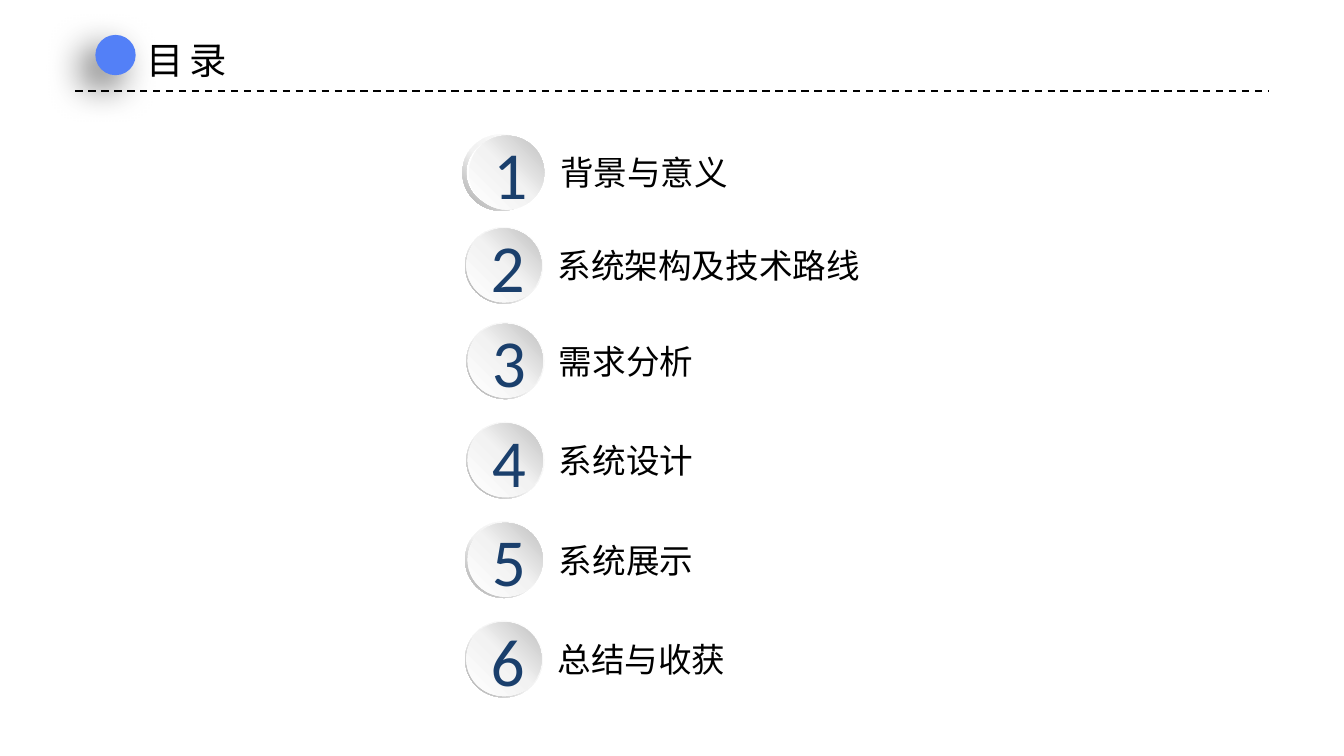
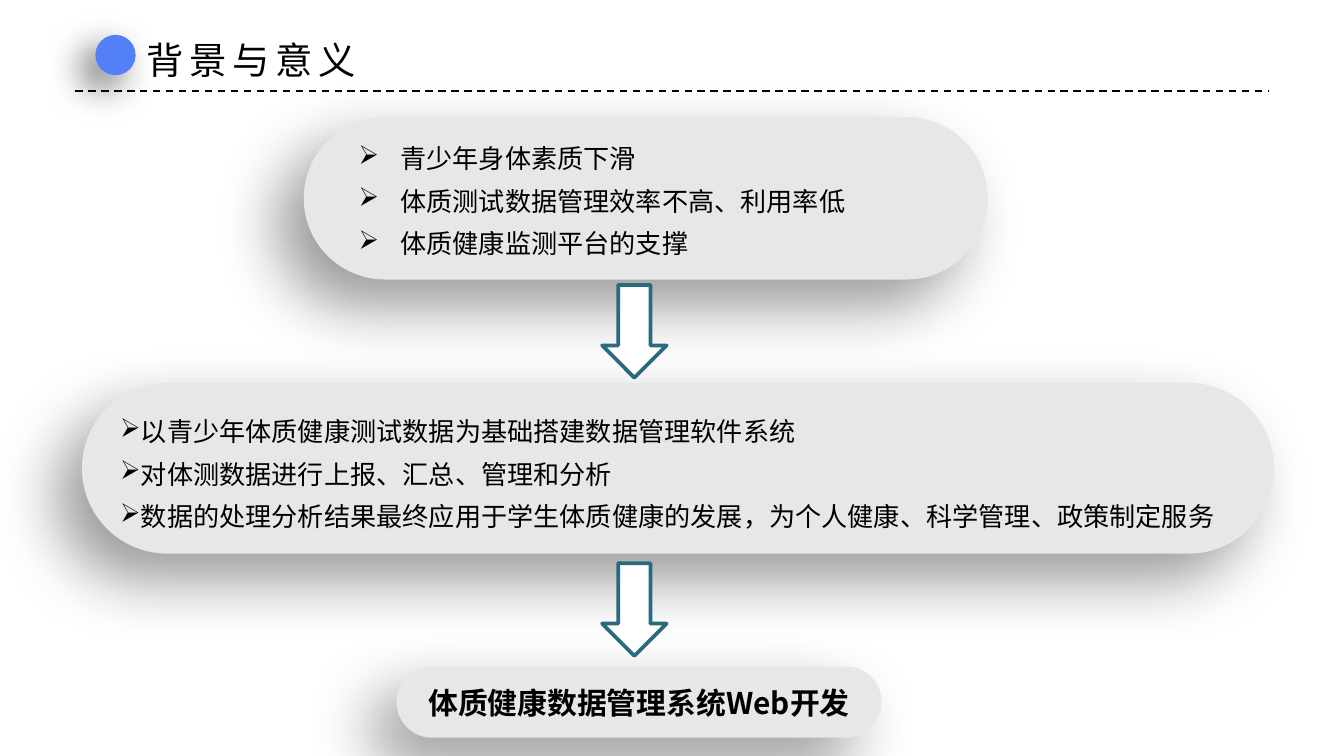
"""Build the contents slide and the background slide of a fitness data talk."""
from dataclasses import dataclass

from lxml.etree import SubElement as Sub
from pptx import Presentation
from pptx.dml.color import RGBColor as RGB
from pptx.enum.dml import MSO_LINE as Dash
from pptx.enum.shapes import MSO_CONNECTOR as Link, MSO_SHAPE as Kind
from pptx.enum.text import MSO_ANCHOR as Anchor, MSO_AUTO_SIZE as Auto, PP_ALIGN as Align
from pptx.oxml.ns import qn
from pptx.util import Pt

PX = 4572


@dataclass(frozen=True)
class Theme:
    """Colours, fonts and type sizes."""
    ink: str = "000000"
    paper: str = "FFFFFF"
    dot: str = "5380F7"
    pill: str = "E6E7E9"
    edge: str = "296B7C"
    digit: str = "1A3F6C"
    ring: tuple = ((0, "FFFFFF"), (55, "F2F2F2"), (100, "A6A6A6"))
    ball: tuple = ((0, "FFFFFF"), (51, "F2F2F2"), (100, "BFBFBF"))
    font: str = "Noto Sans CJK SC"
    latin: str = "Calibri"
    title: int = 20
    label: int = 18
    body: int = 14
    goal: int = 16
    count: int = 36
    lead: float = 1.35


class Deck:
    """Holds the style and the current slide."""

    def __init__(self, theme):
        """Start an empty deck."""
        self.look = theme
        self.prs = Presentation()
        self.prs.slide_width, self.prs.slide_height = 2000 * PX, 1125 * PX

    def page(self, title):
        """Add a slide with its title band."""
        look = self.look
        self.shapes = self.prs.slides.add_slide(self.prs.slide_layouts[6]).shapes
        self.rule(112, 136, 1888)
        dot = self.shape(Kind.OVAL, (142, 52, 60, 60), look.dot)
        self.shade(dot, 60, 20, 10)
        self.label(title, 198, 46, look.title, 64, 88, 300)

    def rule(self, left, top, right):
        """Draw a dashed level line."""
        ends = [n * PX for n in (left, top, right, top)]
        line = self.shapes.add_connector(Link.STRAIGHT, *ends)
        line.line.color.rgb = RGB.from_string(self.look.ink)
        line.line.width = Pt(1)
        line.line.dash_style = Dash.DASH
        Sub(line._element.spPr, qn("a:effectLst"))

    def shape(self, kind, box, fill, edge=None):
        """Draw a preset shape with a plain fill."""
        item = self.shapes.add_shape(kind, *(n * PX for n in box))
        item.shadow.inherit = False
        item.fill.solid()
        item.fill.fore_color.rgb = RGB.from_string(fill)
        if edge:
            item.line.color.rgb = RGB.from_string(edge)
            item.line.width = Pt(2)
        else:
            item.line.fill.background()
        return item

    def shade(self, item, alpha, blur, dist):
        """Cast a soft shadow to the lower left."""
        list_ = item._element.spPr.find(qn("a:effectLst"))
        cast = Sub(list_, qn("a:outerShdw"), blurRad=str(Pt(blur)), dist=str(Pt(dist)),
                   dir=str(135 * 60000), algn="ctr", rotWithShape="0")
        tint = Sub(cast, qn("a:srgbClr"), val=self.look.ink)
        Sub(tint, qn("a:alpha"), val=str(alpha * 1000))

    def blend(self, item, stops, angle):
        """Give a shape a linear fill of several stops."""
        item.fill.gradient()
        grad = item._element.spPr.find(qn("a:gradFill"))
        for part in list(grad):
            grad.remove(part)
        row = Sub(grad, qn("a:gsLst"))
        for place, tint in stops:
            stop = Sub(row, qn("a:gs"), pos=str(place * 1000))
            Sub(stop, qn("a:srgbClr"), val=tint)
        Sub(grad, qn("a:lin"), ang=str(angle * 60000), scaled="0")

    def run(self, para, text, size, tint=None, font=None, bold=False, gap=0):
        """Add one styled run."""
        run = para.add_run()
        run.text = text
        run.font.size = Pt(size)
        run.font.bold = bold
        run.font.color.rgb = RGB.from_string(tint or self.look.ink)
        run.font.name = font or self.look.font
        prop = run._r.get_or_add_rPr()
        Sub(prop, qn("a:ea"), typeface=self.look.font)
        if gap:
            prop.set("spc", str(gap))

    def label(self, text, left, top, size, step, high, gap=0):
        """Place one line of text in a box sized by its length."""
        wide = step * len(text) + 42
        box = self.shapes.add_textbox(*(n * PX for n in (left, top, wide, high)))
        box.text_frame.word_wrap = False
        box.text_frame.auto_size = Auto.SHAPE_TO_FIT_TEXT
        self.run(box.text_frame.paragraphs[0], text, size, gap=gap)

    def centre(self, item, text, size, **style):
        """Write one centred line in a shape."""
        frame = item.text_frame
        frame.word_wrap = True
        frame.vertical_anchor = Anchor.MIDDLE
        para = frame.paragraphs[0]
        para.alignment = Align.CENTER
        self.run(para, text, size, **style)

    def list(self, frame, lines, left):
        """Write arrow bullets in a text frame."""
        frame.word_wrap = True
        for i, text in enumerate(lines):
            para = frame.add_paragraph() if i else frame.paragraphs[0]
            para.alignment = Align.LEFT
            para.line_spacing = self.look.lead
            prop = para._p.get_or_add_pPr()
            prop.set("marL", str(left * PX))
            prop.set("indent", str(-62 * PX))
            Sub(prop, qn("a:buChar"), char="➢")
            self.run(para, text, self.look.body)

    def badge(self, text, ring, ball, top):
        """Draw a numbered ball in its ring."""
        look = self.look
        rim = self.shape(Kind.DONUT, (ring, top, 116, 114), look.paper)
        rim.adjustments[0] = 0.049
        self.blend(rim, look.ring, 135)
        disc = self.shape(Kind.OVAL, (ball, top + 2, 112, 110), look.paper)
        self.blend(disc, look.ball, 315)
        self.centre(disc, text, look.count, tint=look.digit, font=look.latin)
        self.shapes.add_group_shape([rim, disc])

    def pill(self, *box):
        """Draw a grey pill with a deep shadow."""
        item = self.shape(Kind.ROUNDED_RECTANGLE, box, self.look.pill)
        item.adjustments[0] = 0.5
        self.shade(item, 40, 35, 20)
        return item

    def arrow(self, top):
        """Draw a down arrow between two pills."""
        box = (896, top, 96, 138)
        self.shape(Kind.DOWN_ARROW, box, self.look.paper, self.look.edge)

    def notes(self, box, lines):
        """Place a bullet list in a text box."""
        frame = self.shapes.add_textbox(*(n * PX for n in box)).text_frame
        frame.auto_size = Auto.SHAPE_TO_FIT_TEXT
        self.list(frame, lines, 62)


TOPICS = (
    ("背景与意义", 688, 698, 200),
    ("系统架构及技术路线", 692, 694, 338),
    ("需求分析", 694, 696, 480),
    ("系统设计", 694, 696, 628),
    ("系统展示", 692, 696, 776),
    ("总结与收获", 692, 694, 924),
)
CAUSES = ("青少年身体素质下滑", "体质测试数据管理效率不高、利用率低", "体质健康监测平台的支撑")
TASKS = (
    "以青少年体质健康测试数据为基础搭建数据管理软件系统",
    "对体测数据进行上报、汇总、管理和分析",
    "数据的处理分析结果最终应用于学生体质健康的发展，为个人健康、科学管理、政策制定服务",
)


def index(deck):
    """Build the contents slide."""
    deck.page("目录")
    for i, (text, ring, ball, top) in enumerate(TOPICS, 1):
        deck.badge(str(i), ring, ball, top)
        deck.label(text, ball + 116, top + 17, deck.look.label, 50, 80)


def basis(deck):
    """Build the background slide."""
    deck.page(TOPICS[0][0])
    goal = deck.pill(590, 992, 722, 106)
    deck.centre(goal, "体质健康数据管理系统Web开发", deck.look.goal, bold=True)
    work = deck.pill(122, 570, 1774, 254)
    work.text_frame.vertical_anchor = Anchor.MIDDLE
    deck.list(work.text_frame, TASKS, 0)
    deck.arrow(838)
    deck.pill(452, 174, 1018, 242)
    deck.notes((514, 186, 824, 204), CAUSES)
    deck.arrow(424)


def main():
    """Build and save the deck."""
    deck = Deck(Theme())
    index(deck)
    basis(deck)
    deck.prs.save("out.pptx")


if __name__ == "__main__":
    main()
